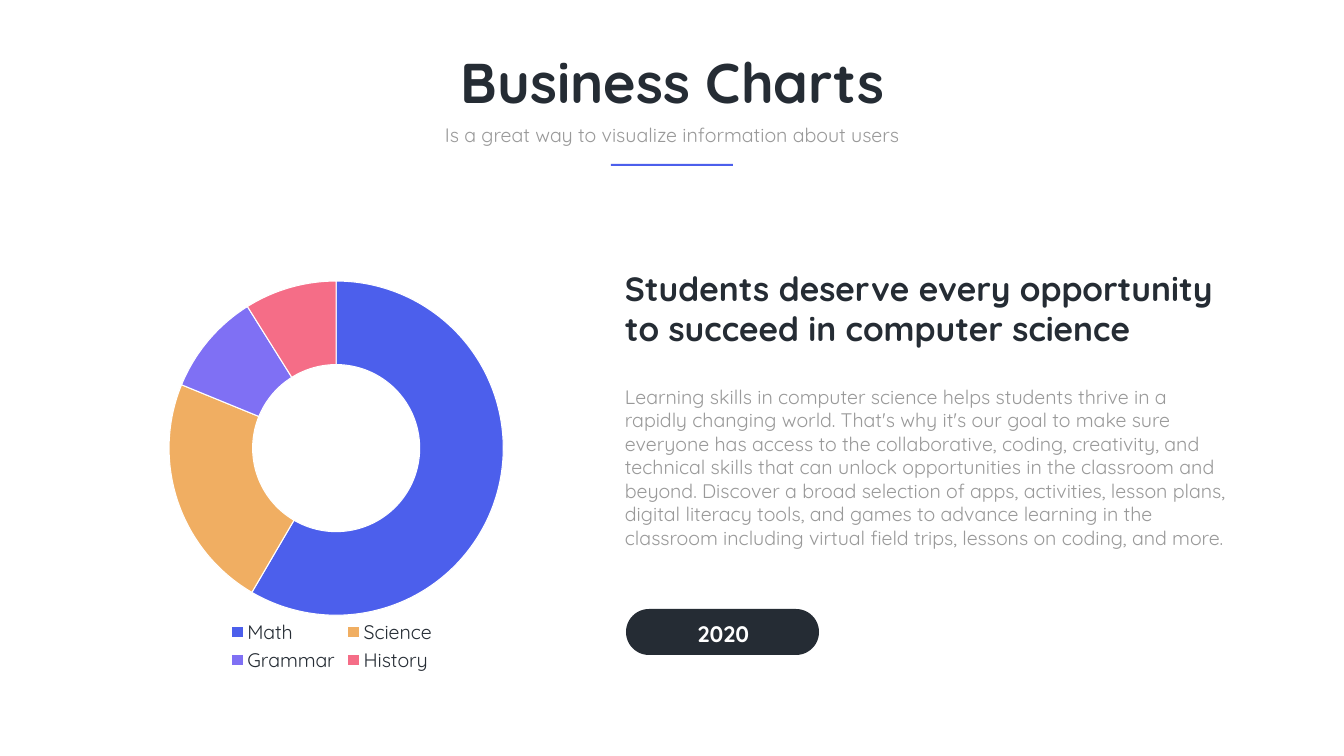
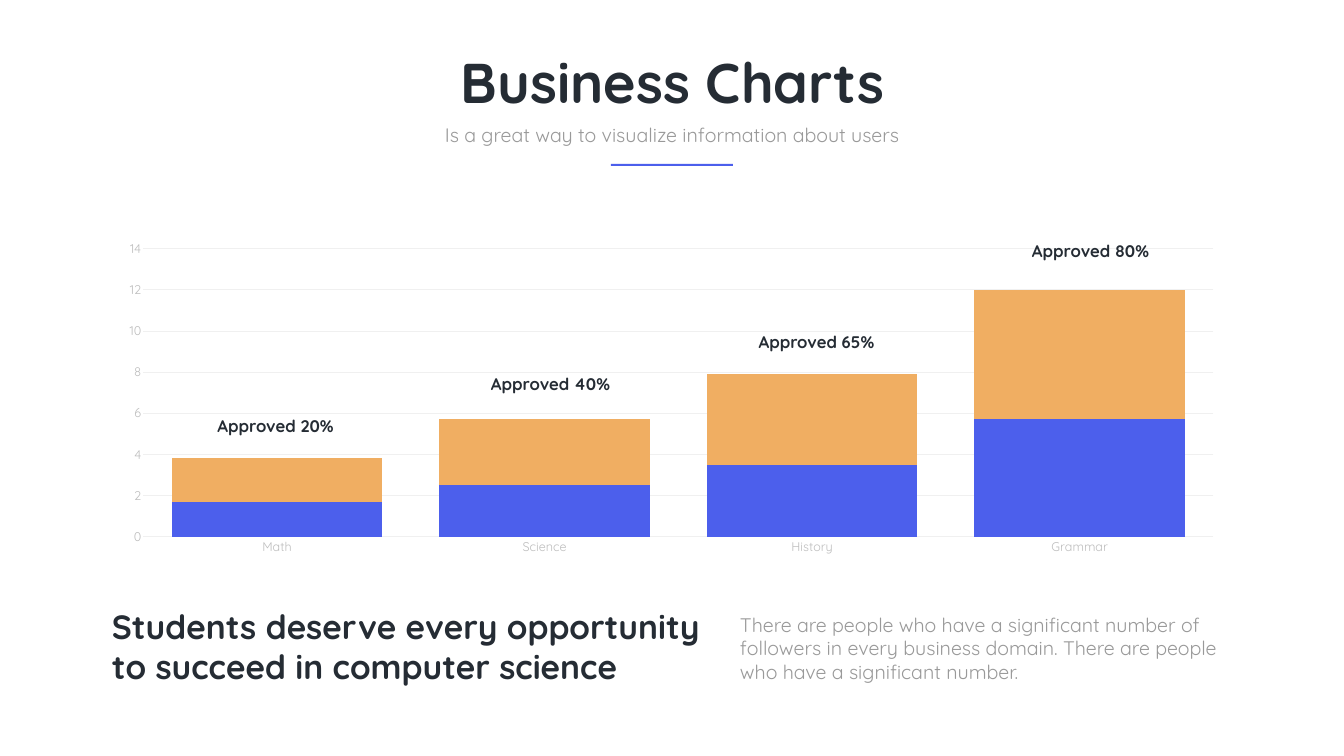
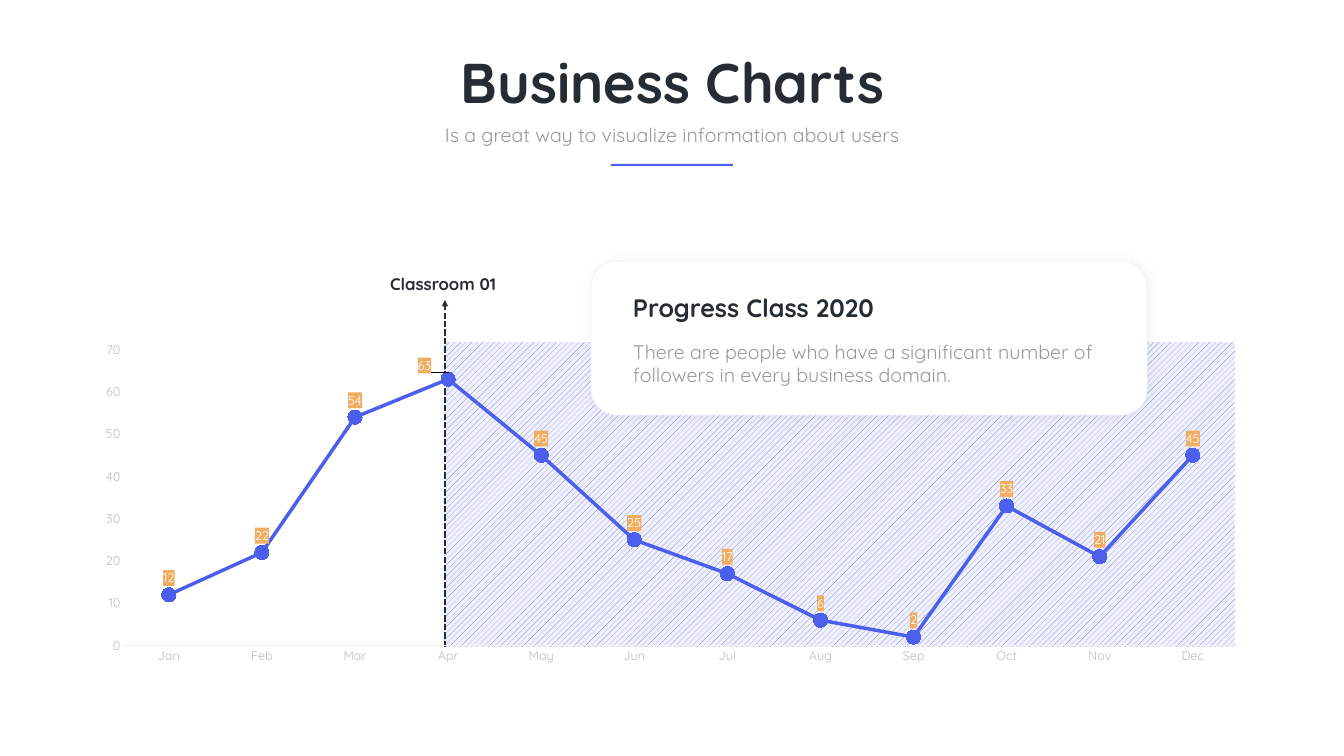
from copy import deepcopy

from lxml import etree
from pptx import Presentation
from pptx.chart.data import CategoryChartData
from pptx.dml.color import RGBColor
from pptx.enum.chart import (XL_CHART_TYPE, XL_LABEL_POSITION, XL_LEGEND_POSITION,
                             XL_MARKER_STYLE, XL_TICK_MARK)
from pptx.enum.dml import MSO_LINE, MSO_PATTERN
from pptx.enum.shapes import MSO_CONNECTOR, MSO_SHAPE
from pptx.enum.text import MSO_ANCHOR, MSO_AUTO_SIZE, PP_ALIGN
from pptx.oxml import parse_xml
from pptx.oxml.ns import nsdecls, qn
from pptx.util import Inches, Pt

DOUGHNUT, STACKED, LINE = (XL_CHART_TYPE.DOUGHNUT, XL_CHART_TYPE.COLUMN_STACKED,
                           XL_CHART_TYPE.LINE_MARKERS)
ABOVE, BOTTOM = XL_LABEL_POSITION.ABOVE, XL_LEGEND_POSITION.BOTTOM
CIRCLE, NO_TICK = XL_MARKER_STYLE.CIRCLE, XL_TICK_MARK.NONE
DASH, HATCH = MSO_LINE.SQUARE_DOT, MSO_PATTERN.PERCENT_10
STRAIGHT = MSO_CONNECTOR.STRAIGHT
RECT, ROUND = MSO_SHAPE.RECTANGLE, MSO_SHAPE.ROUNDED_RECTANGLE
TOP, MIDDLE = MSO_ANCHOR.TOP, MSO_ANCHOR.MIDDLE
NO_FIT = MSO_AUTO_SIZE.NONE
LEFT, CENTER = PP_ALIGN.LEFT, PP_ALIGN.CENTER

INK = RGBColor(0x25, 0x2C, 0x34)
GRAY = RGBColor(0x99, 0x99, 0x99)
SILVER = RGBColor(0xBD, 0xBD, 0xBD)
HAIRLINE = RGBColor(0xF0, 0xF0, 0xF0)
MIST = RGBColor(0xF0, 0xF1, 0xFA)
WHITE = RGBColor(0xFF, 0xFF, 0xFF)
BLUE = RGBColor(0x4C, 0x5F, 0xEC)
ORANGE = RGBColor(0xF0, 0xAE, 0x62)
VIOLET = RGBColor(0x7F, 0x70, 0xF4)
ROSE = RGBColor(0xF5, 0x6D, 0x87)

PX = 914400 / 50.4
SLIDE_W, SLIDE_H = 1344, 756


def style(size, color, bold=False):
    return {"name": "Quicksand", "size": Pt(size), "bold": bold, "color": color}


TITLE_STYLE = style(80, INK, True)
HEADING_STYLE = style(48, INK, True)
CARD_STYLE = style(36, INK, True)
YEAR_STYLE = style(32, WHITE, True)
TAG_STYLE = style(24, INK, True)
BODY_STYLE = style(28, GRAY)
LEGEND_STYLE = style(28, INK)
AXIS_STYLE = style(18, SILVER)
VALUE_STYLE = style(18, WHITE)

TITLE = "Business Charts"
SUBTITLE = "Is a great way to visualize information about users"
HEADING = "Students deserve every opportunity to succeed in computer science"
SKILLS = (
    "Learning skills in computer science helps students thrive in a rapidly changing world. "
    "That's why it's our goal to make sure everyone has access to the collaborative, coding, "
    "creativity, and technical skills that can unlock opportunities in the classroom and "
    "beyond. Discover a broad selection of apps, activities, lesson plans, digital literacy "
    "tools, and games to advance learning in the classroom including virtual field trips, "
    "lessons on coding, and more.")
FOLLOWERS = ("There are people who have a significant number of followers in every business "
             "domain. There are people who have a significant number.")
PROGRESS = "There are people who have a significant number of followers in every business domain."

SUBJECTS = [("Math", 59, BLUE), ("Science", 23, ORANGE),
            ("Grammar", 10, VIOLET), ("History", 9, ROSE)]
DOUGHNUT_PLOT = {"x": 0.135, "y": 0.041, "w": 0.751, "h": 0.812}
HOLE = 59

RESULT_SUBJECTS = ["Math", "Science", "History", "Grammar"]
RESULTS = [("Series 1", [1.7, 2.5, 3.5, 5.7], BLUE),
           ("Series 2", [2.1, 3.2, 4.4, 6.3], ORANGE)]
APPROVALS = [("Approved 20%", 208, 413), ("Approved 40%", 483, 371),
             ("Approved 65%", 749, 329), ("Approved 80%", 1023, 238)]

MONTHS = ["Jan", "Feb", "Mar", "Apr", "May", "Jun",
          "Jul", "Aug", "Sep", "Oct", "Nov", "Dec"]
PROGRESS_VALUES = [12, 22, 54, 63, 45, 25, 17, 6, 2, 33, 21, 45]
CLASSROOM_MONTH = MONTHS.index("Apr")
CLASSROOM_SHIFT = {"x": -0.02, "y": 0.01}


def px(*lengths):
    return [round(length * PX) for length in lengths]


def set_font(font, values):
    for key, value in values.items():
        if key == "color":
            font.color.rgb = value
        else:
            setattr(font, key, value)


def write(holder, text, values, align=LEFT, anchor=TOP, spacing=None, inset=None):
    frame = holder.text_frame
    settings = {"word_wrap": True, "auto_size": NO_FIT, "vertical_anchor": anchor}
    if inset is not None:
        settings.update({f"margin_{side}": inset
                         for side in ("left", "top", "right", "bottom")})
    for key, value in settings.items():
        setattr(frame, key, value)
    paragraph = frame.paragraphs[0]
    paragraph.alignment = align
    if spacing:
        paragraph.line_spacing = spacing
    run = paragraph.add_run()
    run.text = text
    set_font(run.font, values)


def add_text(slide, box, text, values, **layout):
    write(slide.shapes.add_textbox(*px(*box)), text, values, **layout)


def add_block(slide, preset, box, color):
    block = slide.shapes.add_shape(preset, *px(*box))
    block.shadow.inherit = False
    block.fill.solid()
    block.fill.fore_color.rgb = color
    block.line.fill.background()
    return block


def add_chart(slide, kind, box, categories, series):
    table = CategoryChartData()
    table.categories = categories
    for name, values in series:
        table.add_series(name, values)
    chart = slide.shapes.add_chart(kind, *px(*box), table).chart
    chart.has_title = False
    chart.has_legend = False
    set_font(chart.font, AXIS_STYLE)
    return chart


def format_axes(chart, top, gridlines):
    values = chart.value_axis
    for axis in (chart.category_axis, values):
        axis.major_tick_mark = axis.minor_tick_mark = NO_TICK
        set_font(axis.tick_labels.font, AXIS_STYLE)
    values.minimum_scale, values.maximum_scale = 0, top
    values.format.line.fill.background()
    values.has_major_gridlines = gridlines
    lines = [chart.category_axis.format.line]
    if gridlines:
        lines.append(values.major_gridlines.format.line)
    for line in lines:
        line.color.rgb = HAIRLINE
        line.width = Pt(0.75)


def manual_layout(places, inner=False):
    target = '<c:layoutTarget val="inner"/>' if inner else ""
    modes = "".join(f'<c:{key}Mode val="edge"/>' for key in "xy") if inner else ""
    sizes = "".join(f'<c:{key} val="{value}"/>' for key, value in places.items())
    return parse_xml(f'<c:layout {nsdecls("c")}><c:manualLayout>{target}{modes}{sizes}'
                     '</c:manualLayout></c:layout>')


def new_slide(deck):
    slide = deck.slides.add_slide(deck.slide_layouts[5])
    title = slide.shapes.title
    title.left, title.top, title.width, title.height = px(347, 45, 651, 73)
    write(title, TITLE, TITLE_STYLE, align=CENTER)
    add_text(slide, (431, 120, 482, 29), SUBTITLE, BODY_STYLE, align=CENTER)
    add_block(slide, RECT, (611, 164, 122, 2), BLUE)
    return slide


def build_subjects(deck):
    slide = new_slide(deck)
    names, shares, colors = zip(*SUBJECTS)
    chart = add_chart(slide, DOUGHNUT, (109, 264, 445, 412), names, [("Series 1", shares)])
    chart.has_legend = True
    chart.legend.position = BOTTOM
    chart.legend.include_in_layout = False
    set_font(chart.legend.font, LEGEND_STYLE)
    plot = chart.plots[0]
    plot.vary_by_categories = True
    for index, color in enumerate(colors):
        look = plot.series[0].points[index].format
        look.fill.solid()
        look.fill.fore_color.rgb = color
        look.line.color.rgb = WHITE
        look.line.width = Pt(1.5)
    root = chart.element
    root.find(".//" + qn("c:holeSize")).set("val", str(HOLE))
    plot_area = root.find(".//" + qn("c:plotArea"))
    for empty_layout in plot_area.findall(qn("c:layout")):
        plot_area.remove(empty_layout)
    plot_area.insert(0, manual_layout(DOUGHNUT_PLOT, inner=True))

    add_text(slide, (620, 382, 614, 195), SKILLS, BODY_STYLE)
    add_text(slide, (620, 265, 614, 87), HEADING, HEADING_STYLE)
    add_block(slide, ROUND, (626, 609, 193, 46), INK).adjustments[0] = 0.5
    add_text(slide, (640, 618, 167, 32), "2020", YEAR_STYLE, align=CENTER)


def build_results(deck):
    slide = new_slide(deck)
    chart = add_chart(slide, STACKED, (107, 234, 1129, 327), RESULT_SUBJECTS,
                      [(name, values) for name, values, _ in RESULTS])
    format_axes(chart, 14, True)
    plot = chart.plots[0]
    plot.vary_by_categories = False
    plot.gap_width, plot.overlap = 27, 100
    for series, (_, _, color) in zip(plot.series, RESULTS):
        series.format.fill.solid()
        series.format.fill.fore_color.rgb = color

    for text, left, top in APPROVALS:
        add_text(slide, (left, top, 135, 25), text, TAG_STYLE, align=CENTER)
    add_text(slide, (107, 603, 614, 87), HEADING, HEADING_STYLE)
    add_text(slide, (735, 610, 496, 76), FOLLOWERS, BODY_STYLE)


def label_values(series):
    labels = series.data_labels
    labels.show_value = True
    classroom = series.points[CLASSROOM_MONTH].data_label
    for label in (labels, classroom):
        label.position = ABOVE
        set_font(label.font, VALUE_STYLE)
    backdrop = parse_xml(f'<c:spPr {nsdecls("c", "a")}><a:solidFill>'
                         f'<a:srgbClr val="{ORANGE}"/></a:solidFill></c:spPr>')
    label_list = labels._element
    shifted = label_list.find(qn("c:dLbl"))
    for node in (label_list, shifted):
        for existing in node.findall(qn("c:spPr")):
            node.remove(existing)
        node.find(qn("c:txPr")).addprevious(deepcopy(backdrop))
    shifted.find(qn("c:spPr")).addprevious(manual_layout(CLASSROOM_SHIFT))


def add_classroom_arrow(slide):
    arrow = slide.shapes.add_connector(STRAIGHT, *px(445, 647, 445, 300))
    arrow.line.color.rgb = INK
    arrow.line.width = Pt(3)
    arrow.line.dash_style = DASH
    properties = arrow._element.spPr
    etree.SubElement(properties.find(qn("a:ln")), qn("a:tailEnd"), type="triangle")
    etree.SubElement(properties, qn("a:effectLst"))


def add_card(slide):
    card = add_block(slide, ROUND, (591, 261, 556, 154), WHITE)
    card.line.color.rgb = MIST
    card.line.width = Pt(1)
    effects = card._element.spPr.find(qn("a:effectLst"))
    effects.append(parse_xml(
        f'<a:outerShdw {nsdecls("a")} blurRad="{Pt(20)}" dist="{Pt(3)}" dir="2700000" '
        'algn="tl" rotWithShape="0"><a:srgbClr val="000000"><a:alpha val="5000"/>'
        '</a:srgbClr></a:outerShdw>'))
    add_text(slide, (628, 337, 482, 52), PROGRESS, BODY_STYLE)
    add_text(slide, (628, 290, 318, 36), "Progress Class 2020", CARD_STYLE)


def build_progress(deck):
    slide = new_slide(deck)
    period = add_block(slide, RECT, (444, 342, 791, 305), MIST)
    period.fill.patterned()
    period.fill.pattern = HATCH
    period.fill.fore_color.rgb = BLUE
    period.fill.back_color.rgb = MIST
    add_text(slide, (362, 276, 162, 20), "Classroom 01", TAG_STYLE, align=CENTER,
             anchor=MIDDLE, spacing=0.7, inset=Inches(0.06))
    add_classroom_arrow(slide)

    chart = add_chart(slide, LINE, (82, 335, 1181, 335), MONTHS,
                      [("Series 1", PROGRESS_VALUES)])
    format_axes(chart, 70, False)
    plot = chart.plots[0]
    plot.vary_by_categories = False
    series = plot.series[0]
    series.smooth = False
    series.format.line.color.rgb = BLUE
    series.format.line.width = Pt(5)
    marker = series.marker
    marker.style, marker.size = CIRCLE, 20
    marker.format.fill.solid()
    marker.format.fill.fore_color.rgb = BLUE
    marker.format.line.fill.background()
    label_values(series)
    add_card(slide)


def main():
    deck = Presentation()
    deck.slide_width, deck.slide_height = px(SLIDE_W, SLIDE_H)
    for build in (build_subjects, build_results, build_progress):
        build(deck)
    deck.save("out.pptx")


if __name__ == "__main__":
    main()
